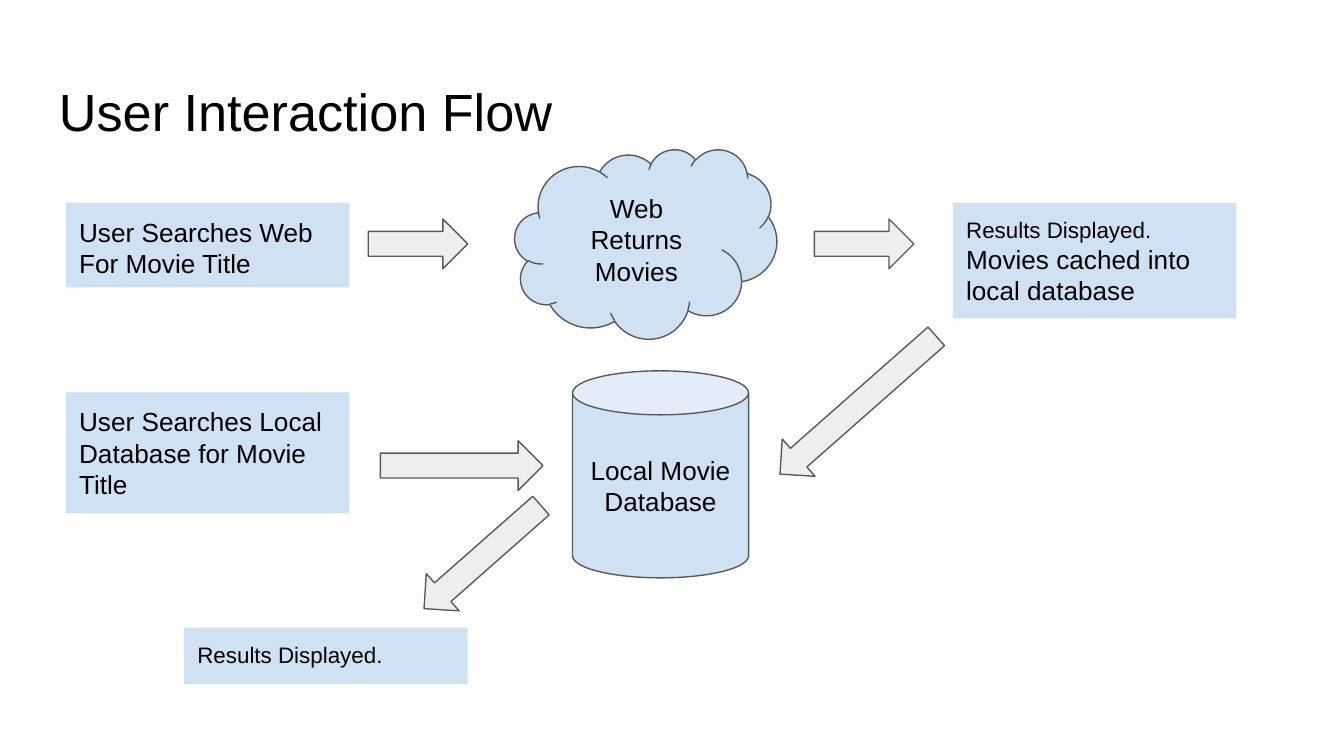
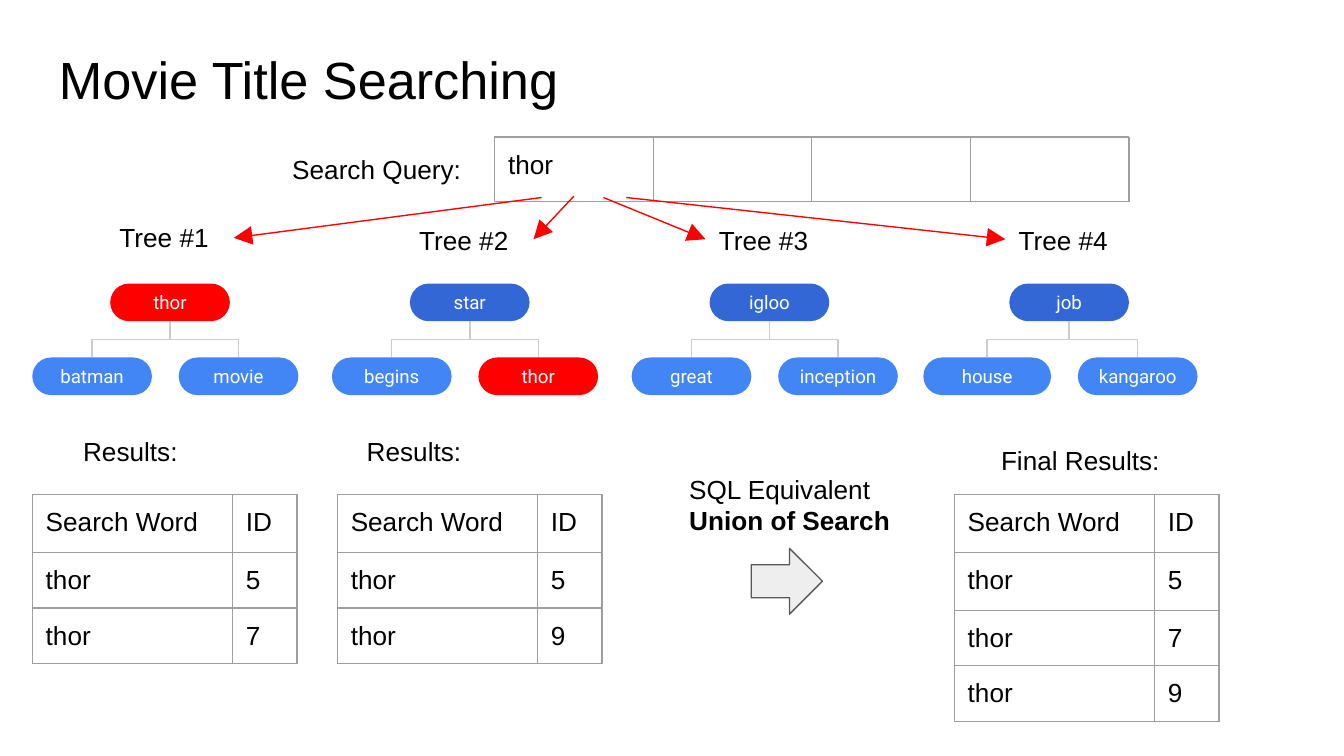
import copy

from lxml import etree
from pptx import Presentation
from pptx.dml.color import RGBColor
from pptx.enum import shapes, text
from pptx.oxml import ns
from pptx.util import Inches, Pt

COLORS = {"ink": "000000", "white": "FFFFFF", "box": "CFE2F3", "arrow": "EEEEEE",
          "outline": "595959", "grid": "9E9E9E", "branch": "CCCCCC",
          "root": "3367D6", "child": "4285F4", "match": "FF0000"}
KINDS = shapes.MSO_SHAPE
ALIGN = text.PP_ALIGN
STYLES = {
    "title": {"name": "Arial", "size": Pt(28)},
    "body": {"name": "Arial", "size": Pt(14)},
    "small": {"name": "Arial", "size": Pt(12)},
    "bold": {"name": "Arial", "size": Pt(14), "bold": True},
    "node": {"name": "Roboto", "size": Pt(10)},
}
SLIDE_WIDTH = 10
SLIDE_HEIGHT = SLIDE_WIDTH * 9 / 16
CELL_MARGINS = {"left": 0.1, "top": 0.1, "right": 0.1, "bottom": 0.08}

# Slide 1 content: place is left, top, width, height; lines are (text, style),
# and a line that ends with a newline shares its paragraph with the next one
FLOW_TITLE = "User Interaction Flow"
FLOW_BOXES = [
    ((0.49, 1.51, 2.11, 0.63), [("User Searches Web For Movie Title", "body")]),
    ((7.09, 1.51, 2.11, 0.86), [("Results Displayed.\n", "small"),
                                ("Movies cached into local database", "body")]),
    ((0.49, 2.92, 2.11, 0.9), [("User Searches Local Database for Movie Title", "body")]),
    ((1.37, 4.67, 2.11, 0.42), [("Results Displayed.", "small")]),
]
FLOW_STORES = [
    (KINDS.CLOUD, (3.83, 1.11, 1.95, 1.41), "Web Returns Movies"),
    (KINDS.CAN, (4.26, 2.76, 1.31, 1.54), "Local Movie Database"),
]
FLOW_ARROWS = [  # left, top, length, rotation
    (2.74, 1.63, 0.74, 0), (6.06, 1.63, 0.74, 0), (5.61, 2.83, 1.55, 138.6),
    (2.83, 3.28, 1.21, 0), (3.01, 3.96, 1.16, 138.6),
]
FLOW_ARROW_HEIGHT = 0.37

# Slide 2 content
SEARCH_TITLE = "Movie Title Searching"
QUERY = "thor"
QUERY_ROW = [[QUERY, "", "", ""]]
TREES = [("thor", "batman", "movie"), ("star", "begins", "thor"),
         ("igloo", "great", "inception"), ("job", "house", "kangaroo")]
POINTERS = [((4.03, 1.47), (1.74, 1.77)), ((4.27, 1.46), (3.97, 1.78)),
            ((4.49, 1.47), (5.25, 1.78)), ((4.66, 1.47), (7.48, 1.78))]
HEADER = ["Search Word", "ID"]
RESULTS = [  # caption, caption place, table left, ids, row heights
    ("Results:", (0.52, 3.14), 0.24, "57", (0.43, 0.28, 0.28)),
    ("Results:", (2.63, 3.14), 2.51, "59", (0.43, 0.28, 0.28)),
    ("Final Results:", (7.35, 3.21), 7.1, "579", (0.43, 0.43, 0.28, 0.28)),
]
UNION_LINES = [("SQL Equivalent", "body"), ("Union of Search", "bold")]

# Tree geometry
TREE_LEFT, TREE_PITCH = 0.24, 2.23
ROOT_SHIFT, CHILD_SHIFT = 0.58, 1.09
ROOT_TOP, CHILD_TOP = 2.11, 2.66
NODE_WIDTH, NODE_HEIGHT = 0.89, 0.28
WIDE_NODE = {"house": (6.87, 0.95)}


def rgb(name):
    return RGBColor.from_string(COLORS[name])


def inches(values):
    return [Inches(value) for value in values]


def write(frame, lines, color="ink", align=ALIGN.LEFT):
    paragraph = None
    for words, style in lines:
        if paragraph is None:
            paragraph = frame.paragraphs[0]
        elif not broken:
            paragraph = frame.add_paragraph()
        paragraph.alignment = align
        paragraph.line_spacing = 1.0
        run = paragraph.add_run()
        run.text = words.rstrip("\n")
        for attribute, value in STYLES[style].items():
            setattr(run.font, attribute, value)
        run.font.color.rgb = rgb(color)
        broken = words.endswith("\n")
        if broken:
            paragraph.add_line_break()
            paragraph._p[-1].append(copy.deepcopy(run._r.rPr))


def set_frame(frame, anchor):
    settings = {"word_wrap": True, "vertical_anchor": anchor}
    for side in CELL_MARGINS:
        settings["margin_" + side] = Inches(0.1)
    for attribute, value in settings.items():
        setattr(frame, attribute, value)


def add_text(slide, place, lines, align=ALIGN.LEFT):
    box = slide.shapes.add_textbox(*inches(place))
    set_frame(box.text_frame, text.MSO_ANCHOR.TOP)
    write(box.text_frame, lines, align=align)


def add_block(slide, kind, place, fill, outline=None):
    shape = slide.shapes.add_shape(kind, *inches(place))
    shape.shadow.inherit = False
    shape.fill.solid()
    shape.fill.fore_color.rgb = rgb(fill)
    if outline:
        shape.line.color.rgb = rgb(outline)
        shape.line.width = Pt(0.75)
    else:
        shape.line.fill.background()
    return shape


def add_line(slide, kind, start, end, color):
    line = slide.shapes.add_connector(kind, *inches(start + end))
    line.line.color.rgb = rgb(color)
    line.line.width = Pt(0.75)
    etree.SubElement(line._element.spPr, ns.qn("a:effectLst"))
    return line


def add_pointer(slide, start, end):
    pointer = add_line(slide, shapes.MSO_CONNECTOR.STRAIGHT, start, end, "match")
    etree.SubElement(pointer.line._get_or_add_ln(), ns.qn("a:tailEnd"),
                     type="triangle", w="lg", len="lg")


def add_branch(slide, root_x, child_x):
    """Elbow that leaves the root downwards: a horizontal elbow turned by 270 degrees."""
    top = ROOT_TOP + NODE_HEIGHT
    drop, spread = CHILD_TOP - top, abs(child_x - root_x)
    left = (root_x + child_x - drop) / 2
    upper = (top + CHILD_TOP - spread) / 2
    ends = (left, left + drop) if child_x < root_x else (left + drop, left)
    branch = add_line(slide, shapes.MSO_CONNECTOR.ELBOW, (ends[0], upper),
                      (ends[1], upper + spread), "branch")
    branch._element.spPr.find(ns.qn("a:xfrm")).set("rot", str(270 * 60000))


def add_node(slide, word, left, top, color, width=NODE_WIDTH):
    fill = "match" if word == QUERY else color
    node = add_block(slide, KINDS.ROUNDED_RECTANGLE, (left, top, width, NODE_HEIGHT), fill)
    node.adjustments[0] = 0.5
    set_frame(node.text_frame, text.MSO_ANCHOR.MIDDLE)
    write(node.text_frame, [(word, "node")], "white", ALIGN.CENTER)


def add_grid(slide, left, top, widths, heights, rows):
    place = inches((left, top, sum(widths), sum(heights)))
    table = slide.shapes.add_table(len(rows), len(widths), *place).table
    table.first_row = table.horz_banding = False
    for column, width in zip(table.columns, widths):
        column.width = Inches(width)
    for row, height, words in zip(table.rows, heights, rows):
        row.height = Inches(height)
        for cell, word in zip(row.cells, words):
            for side, margin in CELL_MARGINS.items():
                setattr(cell, "margin_" + side, Inches(margin))
            if word:
                write(cell.text_frame, [(word, "body")])
            properties = cell._tc.get_or_add_tcPr()
            for edge in ("lnL", "lnR", "lnT", "lnB"):
                border = etree.SubElement(properties, ns.qn("a:" + edge), w=str(Pt(0.75)))
                paint = etree.SubElement(border, ns.qn("a:solidFill"))
                etree.SubElement(paint, ns.qn("a:srgbClr"), val=COLORS["grid"])
            cell.fill.background()


def add_slide(presentation, title, title_top):
    slide = presentation.slides.add_slide(presentation.slide_layouts[6])
    slide.background.fill.solid()
    slide.background.fill.fore_color.rgb = rgb("white")
    add_text(slide, (0.34, title_top, 9.32, 0.63), [(title, "title")])
    return slide


presentation = Presentation()
presentation.slide_width, presentation.slide_height = inches((SLIDE_WIDTH, SLIDE_HEIGHT))

# Slide 1: flow of boxes, stores and arrows
slide = add_slide(presentation, FLOW_TITLE, 0.49)
for place, lines in FLOW_BOXES:
    box = add_block(slide, KINDS.RECTANGLE, place, "box")
    set_frame(box.text_frame, text.MSO_ANCHOR.TOP)
    write(box.text_frame, lines)
for kind, place, words in FLOW_STORES:
    store = add_block(slide, kind, place, "box", "outline")
    set_frame(store.text_frame, text.MSO_ANCHOR.MIDDLE)
    write(store.text_frame, [(words, "body")], align=ALIGN.CENTER)
for left, top, length, rotation in FLOW_ARROWS:
    arrow = add_block(slide, KINDS.RIGHT_ARROW, (left, top, length, FLOW_ARROW_HEIGHT),
                      "arrow", "outline")
    arrow.rotation = rotation

# Slide 2: search query
slide = add_slide(presentation, SEARCH_TITLE, 0.25)
add_grid(slide, 3.68, 1.02, [1.18] * 4, [0.36], QUERY_ROW)
add_text(slide, (1, 1.04, 2.53, 0.38), [("Search Query:", "body")], ALIGN.RIGHT)

# Trees: label, root, two children and their branches
for index, (root, *children) in enumerate(TREES):
    left = TREE_LEFT + index * TREE_PITCH
    label_top = 1.57 if index else 1.55
    add_text(slide, (left + 0.55, label_top, 0.95, 0.43), [(f"Tree #{index + 1}", "body")])
    root_left = left + ROOT_SHIFT
    add_node(slide, root, root_left, ROOT_TOP, "root")
    for position, child in enumerate(children):
        usual = (left + position * CHILD_SHIFT, NODE_WIDTH)
        child_left, width = WIDE_NODE.get(child, usual)
        add_node(slide, child, child_left, CHILD_TOP, "child", width)
        add_branch(slide, root_left + NODE_WIDTH / 2, child_left + width / 2)
for start, end in POINTERS:
    add_pointer(slide, start, end)

# Result tables and their union
for caption, place, left, ids, heights in RESULTS:
    add_text(slide, place + (1.4, 0.38), [(caption, "body")])
    rows = [HEADER] + [[QUERY, number] for number in ids]
    add_grid(slide, left, 3.68, (1.49, 0.48), heights, rows)
add_block(slide, KINDS.RIGHT_ARROW, (5.59, 4.08, 0.53, 0.49), "arrow", "outline")
add_text(slide, (5.03, 3.42, 1.84, 0.63), UNION_LINES)

presentation.save("out.pptx")
